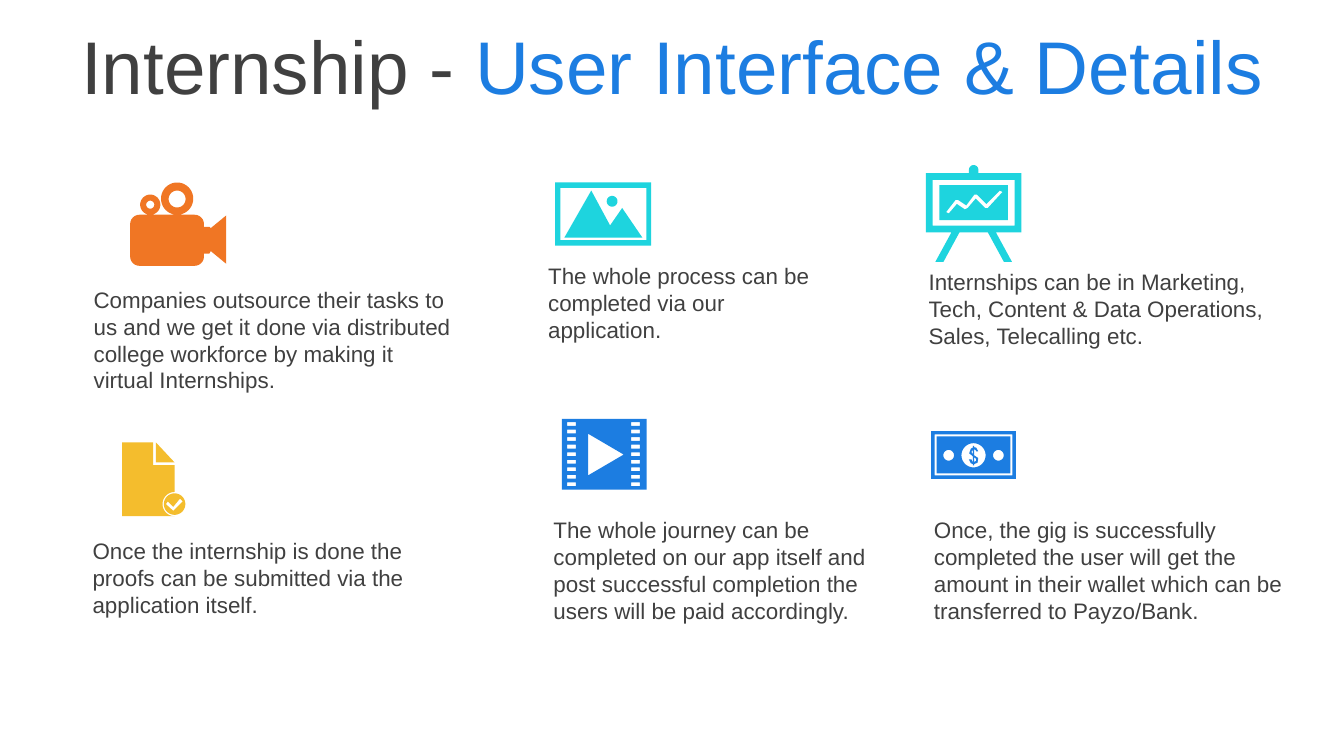
import math
from dataclasses import dataclass

import pptx
import pptx.dml.color
import pptx.enum.text
import pptx.util

Cm = pptx.util.Cm
UNIT = Cm(0.0254)  # icon drawing unit: a hundredth of an inch


@dataclass(frozen=True)
class Theme:
    font: str = "Arial"
    title_size: int = 40
    body_size: int = 12
    ink: str = "404040"
    blue: str = "1C7DE1"
    aqua: str = "1ED4DE"
    orange: str = "F07624"
    yellow: str = "F4BD2D"


@dataclass(frozen=True)
class Box:
    left: float
    top: float
    width: float
    height: float

    def lengths(self):
        return [Cm(value) for value in (self.left, self.top, self.width, self.height)]


THEME = Theme()


def set_all(target, values):
    for name, value in values.items():
        setattr(target, name, value)


def rgb(color):
    return pptx.dml.color.RGBColor.from_string(color)


# Outlines: lists of points; an outline inside another one cuts a hole
def rect(x, y, width, height):
    return [(x, y), (x + width, y), (x + width, y + height), (x, y + height)]


def arc(x, y, radius, start, end, steps=24):
    angles = [math.radians(start + (end - start) * i / steps) for i in range(steps + 1)]
    return [(x + radius * math.cos(a), y + radius * math.sin(a)) for a in angles]


def circle(x, y, radius):
    return arc(x, y, radius, 0, 360, 40)[:-1]


def camera():
    corner = 7
    body = (arc(corner, 31, corner, 180, 270, 6) + arc(48, 31, corner, -90, 0, 6)
            + [(55, 33), (59, 33), (60, 34), (71.5, 24.5), (71.5, 60.5), (60, 51), (59, 53), (55, 53)]
            + arc(48, 55, corner, 0, 90, 6) + arc(corner, 55, corner, 90, 180, 6))
    return [body, circle(35, 12, 12), circle(35, 12.3, 6.3),
            circle(15, 16.5, 7.5), circle(15, 16.5, 3)]


def photo():
    peaks = [(27, 6), (41, 32), (50, 19), (65, 41), (7, 41)]
    return [rect(0, 0, 71.5, 47), rect(4, 4, 64, 39), peaks, circle(42.5, 14, 4)]


def chart_board():
    stand = (arc(35.5, 3.5, 3.5, 180, 360, 12)
             + [(39, 6), (71, 6), (71, 50), (52, 50), (64, 72), (58, 72), (46, 50),
                (25, 50), (13, 72), (7, 72), (19, 50), (0, 50), (0, 6), (32, 6)])
    trend = [(15, 35), (22, 26), (24, 26), (30, 30), (36, 22), (38, 22), (45, 29),
             (55, 19), (57, 20), (46, 32), (44, 32), (37, 25), (31, 32), (29, 33),
             (23, 29), (17, 36)]
    return [stand, rect(5, 11, 61, 34), rect(10, 15, 51, 26), trend]


def document():
    sheet = ([(0, 0), (23, 0), (23, 17), (39, 17)]
             + arc(39, 46, 9, -90, -270) + [(0, 55)])
    tick = [(43, 42), (38, 48), (34, 44), (32.5, 46), (38, 51), (45, 44)]
    return [sheet, [(25, 0), (39, 15), (25, 15)], circle(39, 46, 8), tick]


def film():
    holes = [rect(x, 2.4 + 5.6 * row, 6.5, 2.8) for row in range(9) for x in (4, 51.5)]
    return [rect(0, 0, 63, 52.5), *holes, [(19.5, 11), (19.5, 42), (46, 26.5)]]


def banknote():
    dollar = [(31, 11), (32, 11), (32, 12), (33.5, 12.3), (35, 15), (33.5, 15), (33, 14),
              (32, 13.5), (32, 18), (35, 20), (34.5, 23.5), (32, 24.5), (32, 25.5),
              (31, 25.5), (31, 24.5), (29.5, 24), (28, 21), (30, 21), (30.5, 22.5),
              (31, 23), (31, 18.8), (28.3, 16.5), (29.5, 13), (31, 12.3)]
    gaps = [[(32, 19.5), (33.3, 20.5), (33.5, 22), (32, 23)],
            [(31, 14), (29.9, 15.5), (31, 17.3)]]
    return [rect(0, 0, 63, 35.5), rect(2.5, 2.5, 58, 30.5), rect(4, 4, 55, 27.5),
            circle(31.5, 18, 9), circle(13, 18, 4), circle(50, 18, 4), dollar, *gaps]


def add_icon(page, left, top, outlines, color):
    first, *others = [[(x * UNIT, y * UNIT) for x, y in outline] for outline in outlines]
    builder = page.shapes.build_freeform(*first[0])
    builder.add_line_segments(first[1:], close=True)
    for outline in others:
        builder.move_to(*outline[0])
        builder.add_line_segments(outline[1:], close=True)
    icon = builder.convert_to_shape(Cm(left), Cm(top))
    icon.shadow.inherit = False
    icon.fill.solid()
    icon.fill.fore_color.rgb = rgb(color)
    icon.line.fill.background()


def add_span(para, text, size, color):
    span = para.add_run()
    span.text = text
    set_all(span.font, {"name": THEME.font, "size": pptx.util.Pt(size)})
    span.font.color.rgb = rgb(color)


def add_title(page, box, parts):
    title = page.shapes.title
    set_all(title, dict(zip(("left", "top", "width", "height"), box.lengths())))
    set_all(title.text_frame, {"word_wrap": True,
                               "vertical_anchor": pptx.enum.text.MSO_ANCHOR.MIDDLE})
    para = title.text_frame.paragraphs[0]
    para.alignment = pptx.enum.text.PP_ALIGN.CENTER
    for text, color in parts:
        add_span(para, text, THEME.title_size, color)


def add_card(page, box, indent, drop, outlines, color, text):
    """Icon at the top, moved right by indent; text starts drop below the top."""
    add_icon(page, box.left + indent, box.top, outlines, color)
    words = Box(box.left, box.top + drop, box.width, box.height - drop)
    frame = page.shapes.add_textbox(*words.lengths()).text_frame
    set_all(frame, {"word_wrap": True,
                    "auto_size": pptx.enum.text.MSO_AUTO_SIZE.SHAPE_TO_FIT_TEXT})
    add_span(frame.paragraphs[0], text, THEME.body_size, THEME.ink)


# Box, icon indent, text drop, icon, colour, wording
CARDS = [
    (Box(1.52, 3.45, 7.29, 4.14), 0.94, 1.83, camera, THEME.orange,
     "Companies outsource their tasks to us and we get it done via distributed "
     "college workforce by making it virtual Internships."),
    (Box(10.11, 3.45, 5.99, 2.65), 0.38, 1.38, photo, THEME.aqua,
     "The whole process can be completed via our application."),
    (Box(17.3, 3.12, 7.29, 3.63), 0.2, 1.83, chart_board, THEME.aqua,
     "Internships can be in Marketing, Tech, Content & Data Operations, Sales, "
     "Telecalling etc."),
    (Box(1.5, 8.36, 7.01, 3.47), 0.81, 1.67, document, THEME.yellow,
     "Once the internship is done the proofs can be submitted via the application itself."),
    (Box(10.21, 7.92, 7.29, 4.02), 0.41, 1.71, film, THEME.blue,
     "The whole journey can be completed on our app itself and post successful "
     "completion the users will be paid accordingly."),
    (Box(17.4, 8.15, 7.29, 3.79), 0.2, 1.48, banknote, THEME.blue,
     "Once, the gig is successfully completed the user will get the amount in their "
     "wallet which can be transferred to Payzo/Bank."),
]


def main():
    deck = pptx.Presentation()
    set_all(deck, {"slide_width": Cm(25.4), "slide_height": Cm(14.29)})
    page = deck.slides.add_slide(deck.slide_layouts.get_by_name("Title Only"))
    add_title(page, Box(0, 0, 25.4, 2.46),
              [("Internship - ", THEME.ink), ("User Interface & Details", THEME.blue)])
    for box, indent, drop, draw, color, text in CARDS:
        add_card(page, box, indent, drop, draw(), color, text)
    deck.save("out.pptx")


if __name__ == "__main__":
    main()
